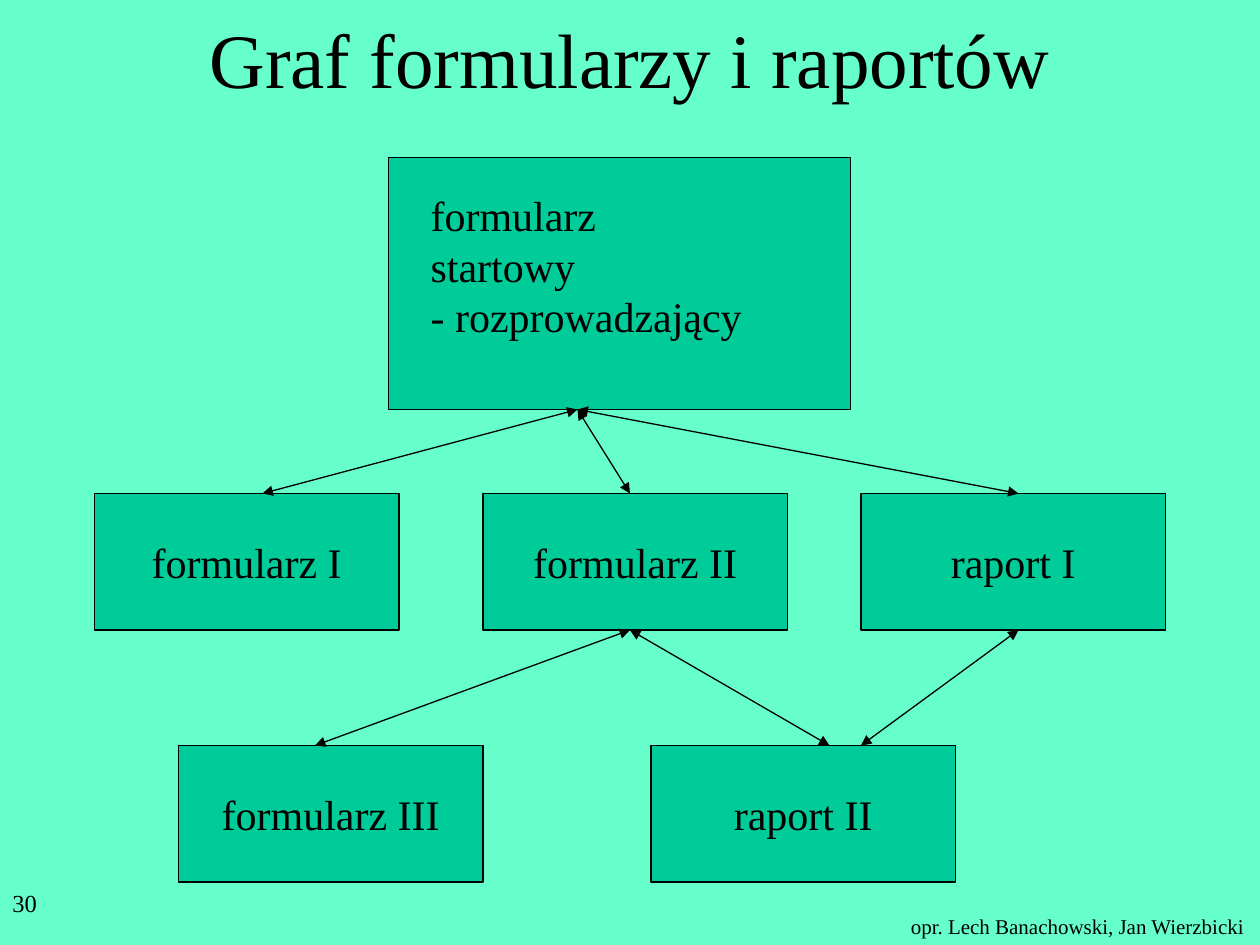
import dataclasses

import lxml.etree
import pptx
import pptx.dml.color
import pptx.enum.shapes
import pptx.enum.text
import pptx.oxml.ns
import pptx.util

Pt = pptx.util.Pt
RGB = pptx.dml.color.RGBColor.from_string
Align = pptx.enum.text.PP_ALIGN
Anchor = pptx.enum.text.MSO_ANCHOR
qn = pptx.oxml.ns.qn


@dataclasses.dataclass(frozen=True)
class Theme:
    font: str = "Times New Roman"
    background: str = "66FFCC"
    box: str = "00CC99"
    ink: str = "000000"
    line: float = 0.75
    title: int = 44
    label: int = 24
    number: int = 14
    footer: int = 12


theme = Theme()
deck = pptx.Presentation()
deck.slide_width, deck.slide_height = Pt(720), Pt(540)
slide = deck.slides.add_slide(deck.slide_layouts[6])
slide.background.fill.solid()
slide.background.fill.fore_color.rgb = RGB(theme.background)


def write(shape, lines, size, align=Align.LEFT, anchor=Anchor.TOP, wrap=False):
    frame = shape.text_frame
    frame.word_wrap = wrap
    frame.vertical_anchor = anchor
    paragraph = frame.paragraphs[0]
    paragraph.alignment = align
    for index, line in enumerate(lines):
        if index:
            paragraph.add_line_break()
        run = paragraph.add_run()
        run.text = line
        run.font.name = theme.font
        run.font.size = Pt(size)
        run.font.color.rgb = RGB(theme.ink)


def add_box(left, top, width, height):
    box = slide.shapes.add_shape(
        pptx.enum.shapes.MSO_SHAPE.RECTANGLE, Pt(left), Pt(top), Pt(width), Pt(height))
    box.shadow.inherit = False
    box.fill.solid()
    box.fill.fore_color.rgb = RGB(theme.box)
    box.line.color.rgb = RGB(theme.ink)
    box.line.width = Pt(theme.line)
    return box


footer = slide.shapes.add_textbox(Pt(513.4), Pt(518.4), Pt(206), Pt(21.6))
write(footer, ["opr. Lech Banachowski, Jan Wierzbicki"], theme.footer)

title = slide.shapes.add_textbox(Pt(54), Pt(0), Pt(612), Pt(66))
write(title, ["Graf formularzy i raportów"], theme.title, Align.CENTER, Anchor.MIDDLE, True)

add_box(222, 90, 264, 144)
start_label = slide.shapes.add_textbox(Pt(239), Pt(105), Pt(197.3), Pt(64.8))
write(start_label, ["formularz startowy", "- rozprowadzający"], theme.label)

start_bottom, middle_top, bottom_top, node_height = 234, 282, 426, 78
middle_bottom = middle_top + node_height
nodes = [
    ("formularz I", 54, middle_top),
    ("formularz II", 276, middle_top),
    ("raport I", 492, middle_top),
    ("formularz III", 102, bottom_top),
    ("raport II", 372, bottom_top),
]
for name, left, top in nodes:
    node = add_box(left, top, 174, node_height)
    write(node, [name], theme.label, Align.CENTER, Anchor.MIDDLE)

links = [
    (330, start_bottom, 150, middle_top),
    (330, start_bottom, 360, middle_top),
    (330, start_bottom, 582, middle_top),
    (360, middle_bottom, 180, bottom_top),
    (360, middle_bottom, 474, bottom_top),
    (582, middle_bottom, 492, bottom_top),
]
for ends in links:
    link = slide.shapes.add_connector(
        pptx.enum.shapes.MSO_CONNECTOR.STRAIGHT, *[Pt(end) for end in ends])
    link.line.color.rgb = RGB(theme.ink)
    link.line.width = Pt(theme.line)
    for tag in ("a:headEnd", "a:tailEnd"):
        lxml.etree.SubElement(link.line._get_or_add_ln(), qn(tag), type="triangle")
    lxml.etree.SubElement(link._element.spPr, qn("a:effectLst"))

page_number = slide.shapes.add_textbox(Pt(0), Pt(504), Pt(150), Pt(36))
write(page_number, ["30"], theme.number, wrap=True)

deck.save("out.pptx")
